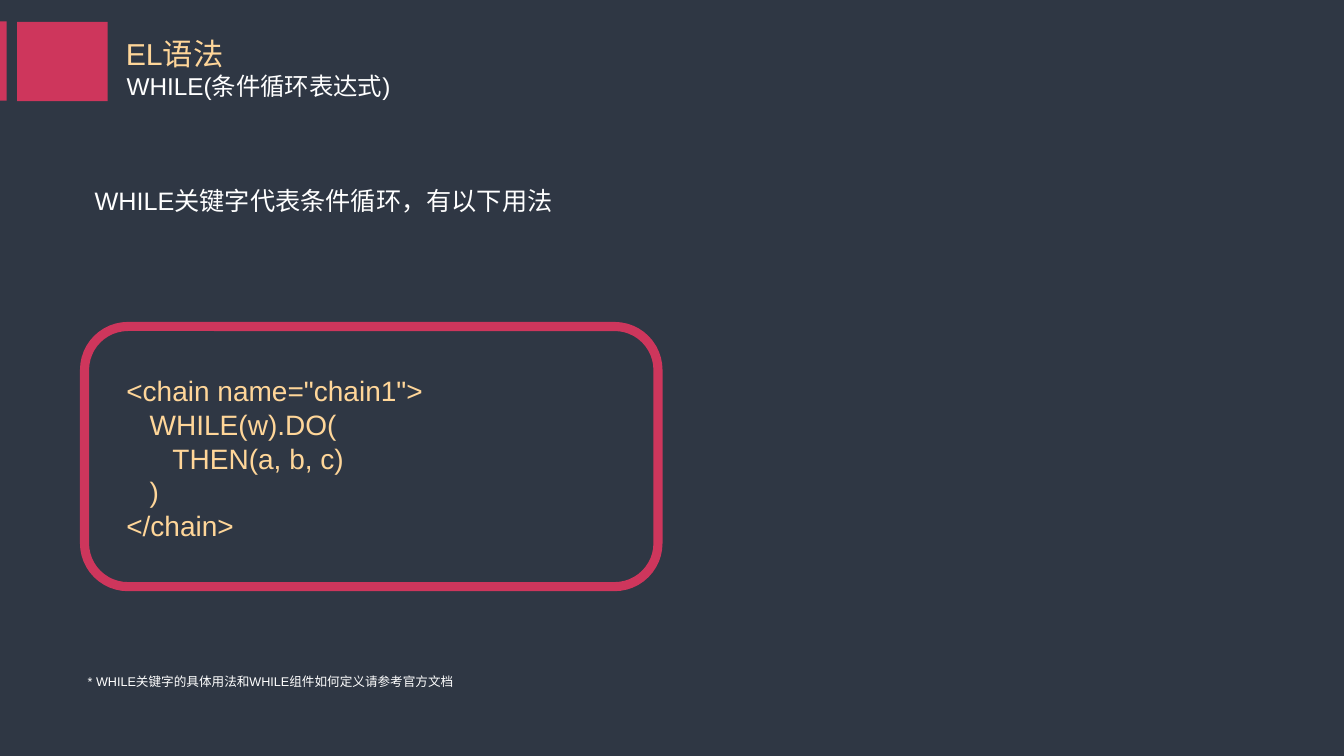
from pptx import Presentation
from pptx.dml.color import RGBColor
from pptx.enum.shapes import MSO_SHAPE
from pptx.enum.text import MSO_ANCHOR, MSO_AUTO_SIZE
from pptx.util import Pt

NAVY = RGBColor(0x2F, 0x37, 0x44)
CRIMSON = RGBColor(0xCE, 0x36, 0x5C)
SAND = RGBColor(0xFF, 0xD6, 0x99)
WHITE = RGBColor(0xFF, 0xFF, 0xFF)

CHAIN_CODE = """<chain name="chain1">
   WHILE(w).DO(
      THEN(a, b, c)
   )
</chain>"""


class SlideWriter:
    """Draws styled elements on one page; lengths are in points."""

    font_name = "Arial"

    def __init__(self, page):
        self.page = page
        page.background.fill.solid()
        page.background.fill.fore_color.rgb = NAVY

    def add_shape(self, kind, left, top, width, height):
        shape = self.page.shapes.add_shape(
            kind, Pt(left), Pt(top), Pt(width), Pt(height))
        shape.shadow.inherit = False
        return shape

    def block(self, left, top, width, height):
        shape = self.add_shape(MSO_SHAPE.RECTANGLE, left, top, width, height)
        shape.fill.solid()
        shape.fill.fore_color.rgb = CRIMSON
        shape.line.fill.background()

    def frame(self, left, top, width, height):
        shape = self.add_shape(
            MSO_SHAPE.ROUNDED_RECTANGLE, left, top, width, height)
        shape.fill.background()
        shape.line.color.rgb = CRIMSON
        shape.line.width = Pt(6.5)

    def text(self, content, left, top, width, height, size, color=WHITE,
             anchor=MSO_ANCHOR.TOP, grow=False):
        box = self.page.shapes.add_textbox(
            Pt(left), Pt(top), Pt(width), Pt(height))
        frame = box.text_frame
        frame.word_wrap = True
        frame.vertical_anchor = anchor
        if grow:
            frame.auto_size = MSO_AUTO_SIZE.SHAPE_TO_FIT_TEXT
        frame.text = content
        for para in frame.paragraphs:
            para.font.name = self.font_name
            para.font.size = Pt(size)
            para.font.color.rgb = color


def main():
    deck = Presentation()
    deck.slide_width, deck.slide_height = Pt(960), Pt(540)
    writer = SlideWriter(deck.slides.add_slide(deck.slide_layouts[6]))

    # Code panel
    writer.frame(60.4, 233.2, 409.6, 185.8)
    writer.text(CHAIN_CODE, 83.2, 263.5, 366, 128, 20, SAND, grow=True)

    # Introduction
    writer.text("WHILE关键字代表条件循环，有以下用法",
                60.5, 129, 733, 29, 18, grow=True)

    # Header blocks and titles
    writer.block(0, 15.3, 4.8, 56.6)
    writer.block(12.2, 15.7, 64.8, 56.6)
    writer.text("EL语法", 82.8, 22.3, 279.4, 31, 21.6, SAND,
                anchor=MSO_ANCHOR.MIDDLE)
    writer.text("WHILE(条件循环表达式)", 83.3, 47.5, 387.4, 28.8, 17.4)

    # Footnote
    writer.text("* WHILE关键字的具体用法和WHILE组件如何定义请参考官方文档",
                55.6, 478, 292.3, 24.5, 9)

    deck.save("out.pptx")


if __name__ == "__main__":
    main()
